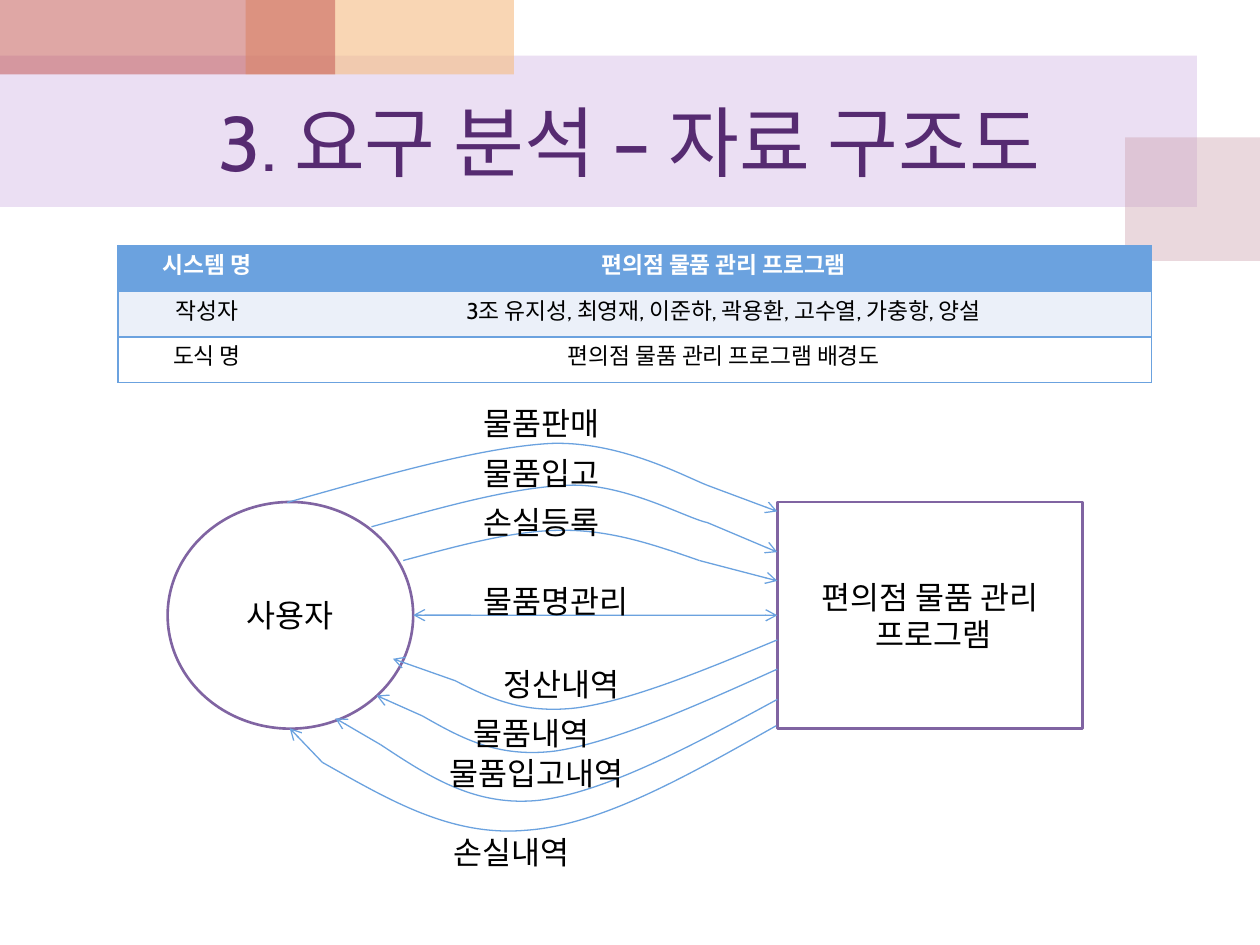
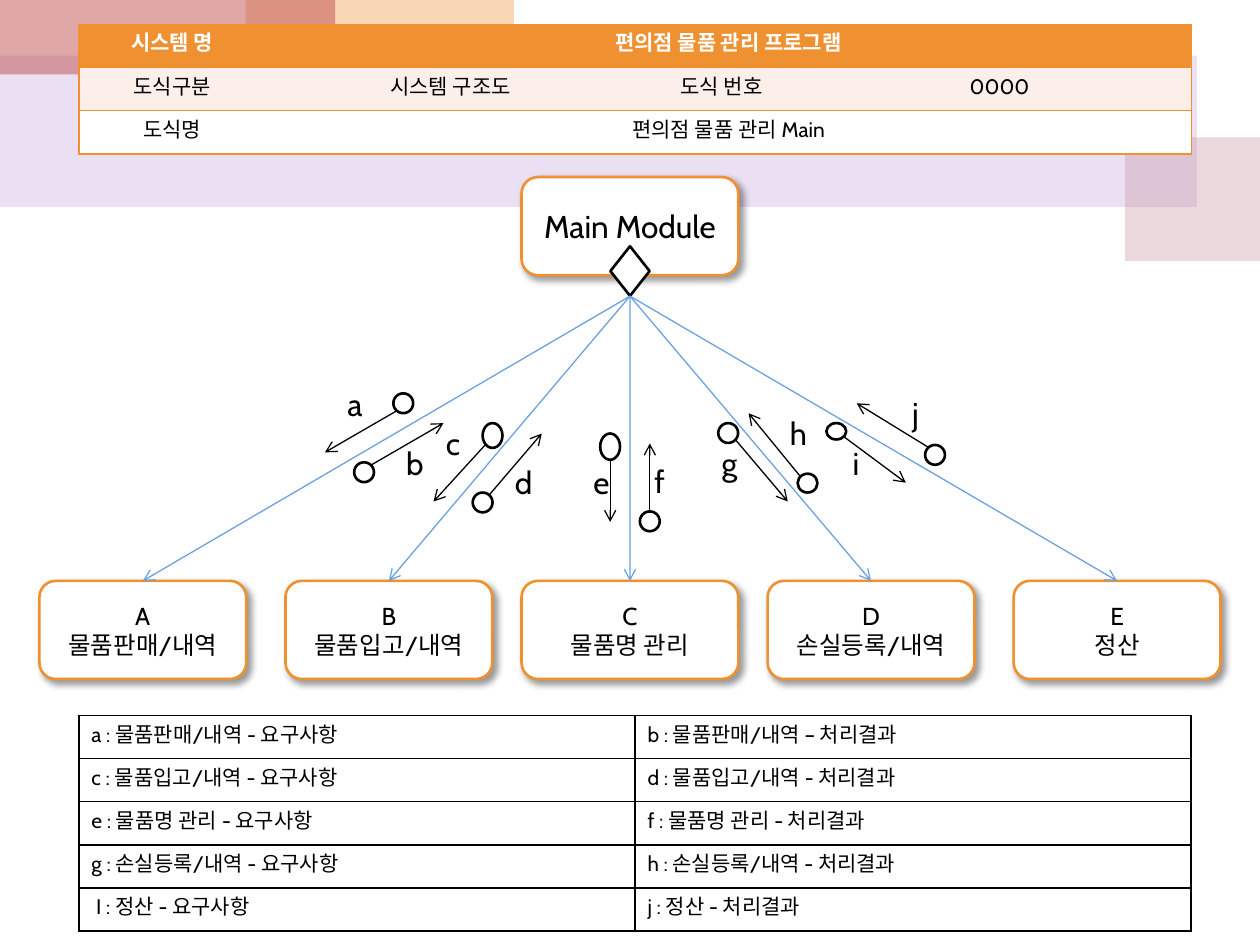
from lxml.etree import SubElement
from pptx import Presentation
from pptx.dml.color import RGBColor
from pptx.enum.shapes import MSO_CONNECTOR, MSO_SHAPE
from pptx.enum.text import MSO_ANCHOR, PP_ALIGN
from pptx.oxml import parse_xml
from pptx.oxml.ns import nsdecls, qn
from pptx.util import Cm, Pt

FONT = "Cabin"
WHITE = RGBColor(0xFF, 0xFF, 0xFF)
BLACK = RGBColor(0x00, 0x00, 0x00)
TITLE_PURPLE = RGBColor(0x56, 0x2B, 0x71)
OUTLINE_PURPLE = RGBColor(0x80, 0x64, 0xA2)
BLUE = RGBColor(0x6B, 0xA2, 0xDF)
PALE_BLUE = RGBColor(0xEB, 0xF0, 0xF9)
ORANGE = RGBColor(0xEF, 0x90, 0x31)
PALE_ORANGE = RGBColor(0xFC, 0xEE, 0xE8)
BAND_LILAC = RGBColor(0xBF, 0x98, 0xD8)
BAND_ROSE = RGBColor(0xCC, 0x9E, 0xAC)
BAND_PEACH = RGBColor(0xF5, 0xBC, 0x83)
BAND_RED = RGBColor(0xC0, 0x50, 0x4D)


def add_box(slide, kind, left, top, width, height, lines=(), size=18, outline=None):
    """Add a white outlined shape, or a plain label when kind is None."""
    position = Cm(left), Cm(top), Cm(width), Cm(height)
    if kind is None:
        shape = slide.shapes.add_textbox(*position)
    else:
        shape = slide.shapes.add_shape(kind, *position)
        shape.shadow.inherit = False
        shape.fill.solid()
        shape.fill.fore_color.rgb = WHITE
        shape.line.color.rgb = outline
        shape.line.width = Pt(1.5)
    frame = shape.text_frame
    frame.word_wrap = kind is not None
    frame.vertical_anchor = MSO_ANCHOR.MIDDLE
    frame.margin_left = frame.margin_right = frame.margin_top = frame.margin_bottom = 0
    if lines:
        frame.text = "\n".join(lines)
        for paragraph in frame.paragraphs:
            paragraph.alignment = PP_ALIGN.CENTER
            paragraph.font.name = FONT
            paragraph.font.size = Pt(size)
            paragraph.font.color.rgb = BLACK
    return shape


def add_arrow(slide, start, end, color, both_ends=False):
    """Add a thin straight arrow between two points in centimetres."""
    points = [Cm(value) for value in (*start, *end)]
    arrow = slide.shapes.add_connector(MSO_CONNECTOR.STRAIGHT, *points)
    arrow.line.color.rgb = color
    arrow.line.width = Pt(0.75)
    outline = arrow.line._get_or_add_ln()
    for tag in ("a:headEnd", "a:tailEnd") if both_ends else ("a:tailEnd",):
        SubElement(outline, qn(tag), type="arrow")
    SubElement(arrow._element.spPr, qn("a:effectLst"))
    return arrow


presentation = Presentation()
presentation.slide_width = Cm(25.4)
presentation.slide_height = Cm(19.05)
structure_slide = presentation.slides.add_slide(presentation.slide_layouts[5])
module_slide = presentation.slides.add_slide(presentation.slide_layouts[6])

# Same font for East Asian text, set in the default text styles
for part in (presentation, presentation.slide_master):
    for east_asian in part.element.iter(qn("a:ea")):
        east_asian.set("typeface", FONT)

# Translucent bands, kept on the master behind both slides
master_tree = presentation.slide_master.shapes._spTree
bands = [
    (0, 1.12, 24.13, 3.05, BAND_LILAC, 30),
    (22.68, 2.77, 2.72, 2.49, BAND_ROSE, 40),
    (4.95, 0, 5.41, 1.5, BAND_PEACH, 60),
    (0, 0, 6.76, 1.5, BAND_RED, 50),
]
for index, (left, top, width, height, color, opacity) in enumerate(bands):
    band = structure_slide.shapes.add_shape(
        MSO_SHAPE.RECTANGLE, Cm(left), Cm(top), Cm(width), Cm(height))
    band.shadow.inherit = False
    band.line.fill.background()
    band.fill.solid()
    band.fill.fore_color.rgb = color
    color_element = band._element.spPr.find(qn("a:solidFill"))[0]
    SubElement(color_element, qn("a:alpha"), val=str(opacity * 1000))
    master_tree.insert(2 + index, band._element)

# Title
title = structure_slide.shapes.title
title.left, title.top, title.width, title.height = Cm(1.27), Cm(1.5), Cm(22.86), Cm(2.67)
title.text_frame.text = "3. 요구 분석 – 자료 구조도"
title.text_frame.vertical_anchor = MSO_ANCHOR.MIDDLE
title_paragraph = title.text_frame.paragraphs[0]
title_paragraph.alignment = PP_ALIGN.CENTER
title_paragraph.font.name = FONT
title_paragraph.font.size = Pt(44)
title_paragraph.font.color.rgb = TITLE_PURPLE

# Tables: None continues the cell to its left; no pale fill means a plain grid
tables = [
    (structure_slide, 2.38, 4.95, [3.58, 17.25], 0.92, 13, BLUE, PALE_BLUE, [
        ["시스템 명", "편의점 물품 관리 프로그램"],
        ["작성자", "3조 유지성, 최영재, 이준하, 곽용환, 고수열, 가충항, 양설"],
        ["도식 명", "편의점 물품 관리 프로그램 배경도"],
    ]),
    (module_slide, 1.59, 0.49, [3.76, 7.46, 3.47, 7.74], 0.87, 12, ORANGE, PALE_ORANGE, [
        ["시스템 명", "편의점 물품 관리 프로그램", None, None],
        ["도식구분", "시스템 구조도", "도식 번호", "0000"],
        ["도식명", "편의점 물품 관리 Main", None, None],
    ]),
    (module_slide, 1.59, 14.42, [11.21, 11.21], 0.87, 12, BLACK, None, [
        ["a : 물품판매/내역 - 요구사항", "b : 물품판매/내역 – 처리결과"],
        ["c : 물품입고/내역 - 요구사항", "d : 물품입고/내역 - 처리결과"],
        ["e : 물품명 관리 - 요구사항", "f : 물품명 관리 - 처리결과"],
        ["g : 손실등록/내역 - 요구사항", "h : 손실등록/내역 - 처리결과"],
        [" I : 정산 - 요구사항", "j : 정산 - 처리결과"],
    ]),
]
for slide, left, top, widths, row_height, size, color, pale, rows in tables:
    last = len(widths) - 1
    table = slide.shapes.add_table(
        len(rows), len(widths), Cm(left), Cm(top),
        Cm(sum(widths)), Cm(row_height * len(rows))).table
    table.first_row = table.horz_banding = False
    for column, width in zip(table.columns, widths):
        column.width = Cm(width)
    for row_index, texts in enumerate(rows):
        table.rows[row_index].height = Cm(row_height)
        if None in texts:
            table.cell(row_index, 1).merge(table.cell(row_index, last))
        for column_index, text in enumerate(texts):
            cell = table.cell(row_index, column_index)
            is_header = pale is not None and row_index == 0
            # Vertical rules inside the table show only in the plain grid
            visible = {
                "L": pale is None or column_index == 0,
                "R": pale is None or column_index == last or None in texts[column_index + 1:],
                "T": True,
                "B": True,
            }
            if column_index == 0 and pale is not None:
                visible["R"] = False
            for side, shown in visible.items():
                border = SubElement(cell._tc.get_or_add_tcPr(), qn("a:ln" + side), w=str(Pt(1)))
                if shown:
                    border_fill = SubElement(border, qn("a:solidFill"))
                    SubElement(border_fill, qn("a:srgbClr"), val=str(color))
                else:
                    SubElement(border, qn("a:noFill"))
            if pale is None:
                cell.fill.background()
            else:
                cell.fill.solid()
                cell.fill.fore_color.rgb = [color, pale, WHITE][row_index]
            if text is None:
                continue
            cell.text = text
            paragraph = cell.text_frame.paragraphs[0]
            paragraph.alignment = PP_ALIGN.LEFT if pale is None else PP_ALIGN.CENTER
            paragraph.font.name = FONT
            paragraph.font.size = Pt(size)
            paragraph.font.bold = is_header
            paragraph.font.color.rgb = WHITE if is_header else BLACK

# Slide 1: user and program
add_box(structure_slide, MSO_SHAPE.OVAL, 3.38, 10.12, 4.95, 4.57,
        ["사용자"], outline=OUTLINE_PURPLE)
program = add_box(structure_slide, MSO_SHAPE.RECTANGLE, 15.67, 10.12, 6.15, 4.57,
                  ["편의점 물품 관리", " 프로그램"], outline=OUTLINE_PURPLE)

# Slide 1: flows, each two Bezier arcs (seven points) and a straight arrow tip
flows = [
    [(5.79, 10.13), (7.75, 9.58), (9.68, 9.02), (11.1, 8.94),
     (12.5, 8.89), (13.79, 9.6), (14.25, 9.78), (15.67, 10.31)],
    [(7.49, 10.62), (8.97, 10.21), (10.41, 9.8), (11.56, 9.78),
     (12.67, 9.78), (13.82, 10.44), (14.27, 10.54), (15.67, 11.13)],
    [(8.13, 11.3), (9.25, 11), (10.36, 10.69), (11.35, 10.69),
     (12.37, 10.69), (13.23, 11), (14.1, 11.3), (15.67, 11.71)],
    [(15.67, 12.9), (14.2, 13.51), (12.73, 14.12), (11.63, 14.27),
     (10.54, 14.4), (9.86, 14.07), (9.17, 13.72), (7.92, 13.28)],
    [(15.67, 13.49), (14.05, 14.22), (12.4, 14.96), (11.2, 15.14),
     (10.01, 15.29), (9.27, 14.86), (8.51, 14.43), (7.59, 14.02)],
    [(15.67, 14.1), (13.94, 15.04), (12.24, 15.95), (10.9, 16.13),
     (9.58, 16.28), (8.64, 15.65), (7.67, 15.01), (6.76, 14.48)],
    [(15.65, 14.63), (13.89, 15.62), (12.12, 16.64), (10.59, 16.74),
     (9.07, 16.87), (7.8, 16.1), (6.5, 15.37), (5.84, 14.68)],
]
for flow in flows:
    start, *curve_points = [(Cm(x), Cm(y)) for x, y in flow[:7]]
    builder = structure_slide.shapes.build_freeform(*start)
    builder.add_line_segments(curve_points, close=False)
    curve = builder.convert_to_shape()
    curve.shadow.inherit = False
    curve.fill.background()
    curve.line.color.rgb = BLUE
    curve.line.width = Pt(0.75)
    # Regroup the six segments as two cubic arcs
    outline = next(curve._element.iter(qn("a:path")))
    segments = outline.findall(qn("a:lnTo"))
    for group in (segments[:3], segments[3:]):
        arc = SubElement(outline, qn("a:cubicBezTo"))
        for segment in group:
            arc.append(segment[0])
            outline.remove(segment)
    add_arrow(structure_slide, flow[6], flow[7], BLUE)
two_way = add_arrow(structure_slide, (8.33, 12.4), (15.67, 12.4), BLUE, both_ends=True)
two_way.end_connect(program, 1)

# Slide 1: flow labels
flow_labels = [
    ("물품판매", 9.32, 8.13, 3.18, 0.79),
    ("물품입고", 9.32, 9.13, 3.18, 0.79),
    ("손실등록", 9.32, 10.12, 3.18, 0.79),
    ("물품명관리", 9.32, 11.71, 3.76, 0.79),
    ("정산내역", 9.73, 13.29, 3.18, 0.99),
    ("물품내역", 9.12, 14.29, 3.18, 0.99),
    ("물품입고내역", 8.53, 15.09, 4.57, 0.99),
    ("손실내역", 8.53, 16.67, 3.58, 0.99),
]
for text, *position in flow_labels:
    add_box(structure_slide, None, *position, [text])

# Slide 2: main module, submodules and the calls between them
CENTER = 12.7
modules = [
    (0, 3.57, 4.37, 18, ["Main Module"]),
    (-9.82, 11.71, 4.17, 14, ["A", "물품판매/내역"]),
    (-4.86, 11.71, 4.17, 14, ["B", "물품입고/내역"]),
    (0, 11.71, 4.37, 14, ["C", "물품명 관리"]),
    (4.86, 11.71, 4.17, 14, ["D", "손실등록/내역"]),
    (9.82, 11.71, 4.17, 14, ["E", "정산"]),
]
module_boxes = []
for offset, top, width, size, lines in modules:
    box = add_box(module_slide, MSO_SHAPE.ROUNDED_RECTANGLE, CENTER + offset - width / 2,
                  top, width, 1.98, lines, size, ORANGE)
    box._element.spPr.find(qn("a:effectLst")).append(parse_xml(
        f'<a:outerShdw {nsdecls("a")} blurRad="{Pt(4)}" dist="{Pt(3)}" dir="2700000" '
        'algn="tl" rotWithShape="0"><a:srgbClr val="000000"><a:alpha val="40000"/>'
        '</a:srgbClr></a:outerShdw>'))
    module_boxes.append(box)
decision = add_box(module_slide, MSO_SHAPE.FLOWCHART_DECISION,
                   CENTER - 0.5, 5.07, 1, 0.79, outline=BLACK)
decision.rotation = 90
for box in module_boxes[1:]:
    call = add_arrow(module_slide, (CENTER, 5.97), (CENTER, 11.71), BLUE)
    call.end_connect(box, 0)

# Slide 2: data couples as letter, circle, arrow start, arrow end, label corner
couples = [
    ("a", (7.93, 7.93, 0.4, 0.4), (8, 8.28), (6.55, 9.12), (6.76, 7.74)),
    ("b", (7.14, 9.32, 0.4, 0.4), (7.49, 9.37), (8.94, 8.53), (7.97, 8.94)),
    ("c", (9.73, 8.53, 0.4, 0.5), (9.78, 8.97), (8.74, 10.11), (8.74, 8.53)),
    ("d", (9.53, 9.93, 0.4, 0.4), (9.86, 9.98), (10.92, 8.74), (10.16, 9.32)),
    ("e", (12.1, 8.74, 0.4, 0.53), (12.3, 9.25), (12.3, 10.52), (11.73, 9.32)),
    ("f", (12.9, 10.31, 0.4, 0.4), (13.1, 10.31), (13.1, 8.94), (12.9, 9.3)),
    ("g", (14.48, 8.53, 0.4, 0.4), (14.83, 8.87), (15.88, 10.11), (14.31, 8.94)),
    ("h", (16.08, 9.55, 0.4, 0.38), (16.13, 9.6), (15.09, 8.33), (15.7, 8.33)),
    ("i", (16.66, 8.53, 0.4, 0.33), (17.02, 8.81), (18.26, 9.73), (16.86, 8.94)),
    ("j", (18.65, 8.97, 0.4, 0.4), (18.72, 9.02), (17.27, 8.13), (18.06, 7.92)),
]
for letter, circle_position, start, end, corner in couples:
    circle = add_box(module_slide, MSO_SHAPE.OVAL, *circle_position, outline=BLACK)
    circle.fill.background()
    add_arrow(module_slide, start, end, BLACK)
    add_box(module_slide, None, *corner, 0.79, 0.79, [letter])

presentation.save("out.pptx")
